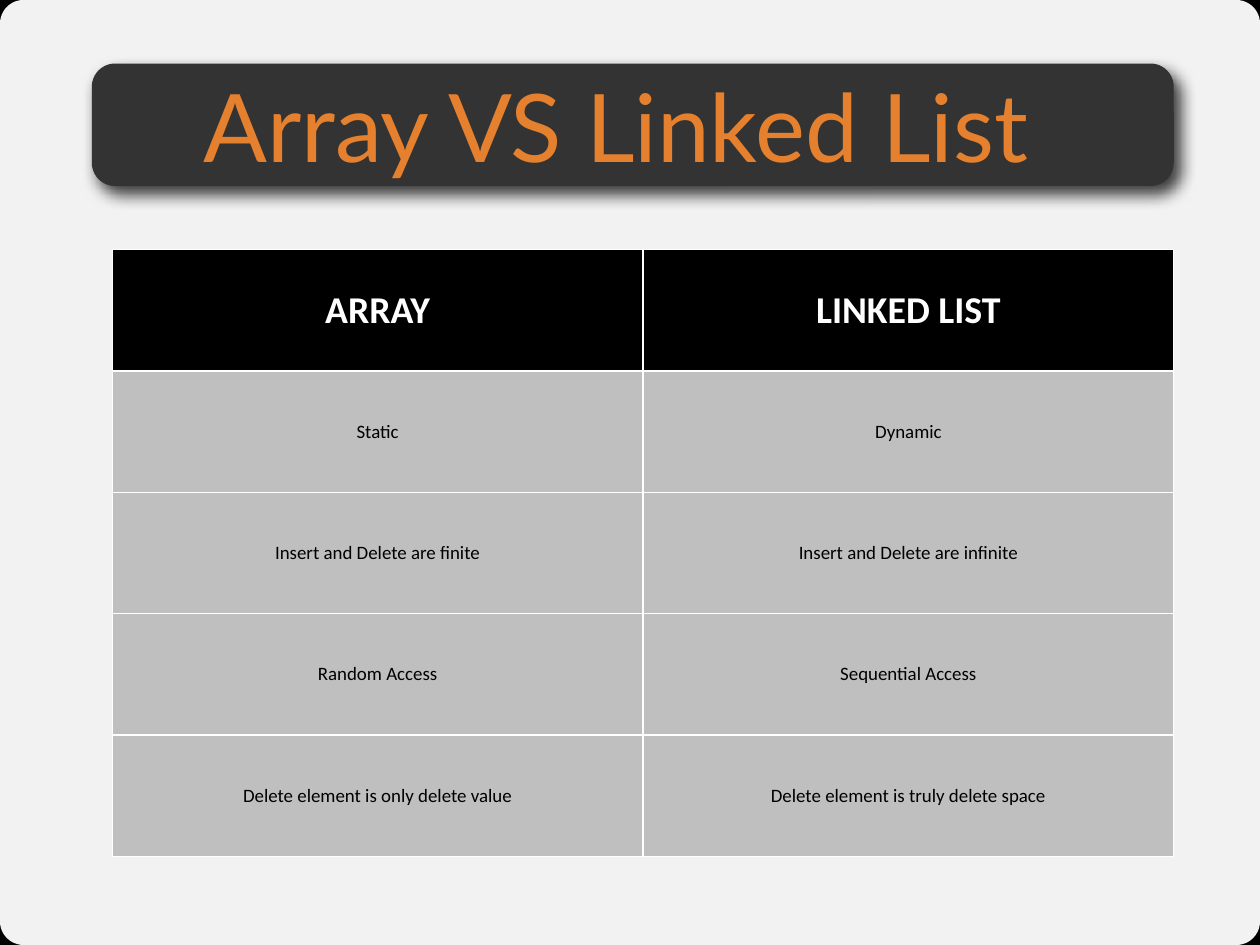
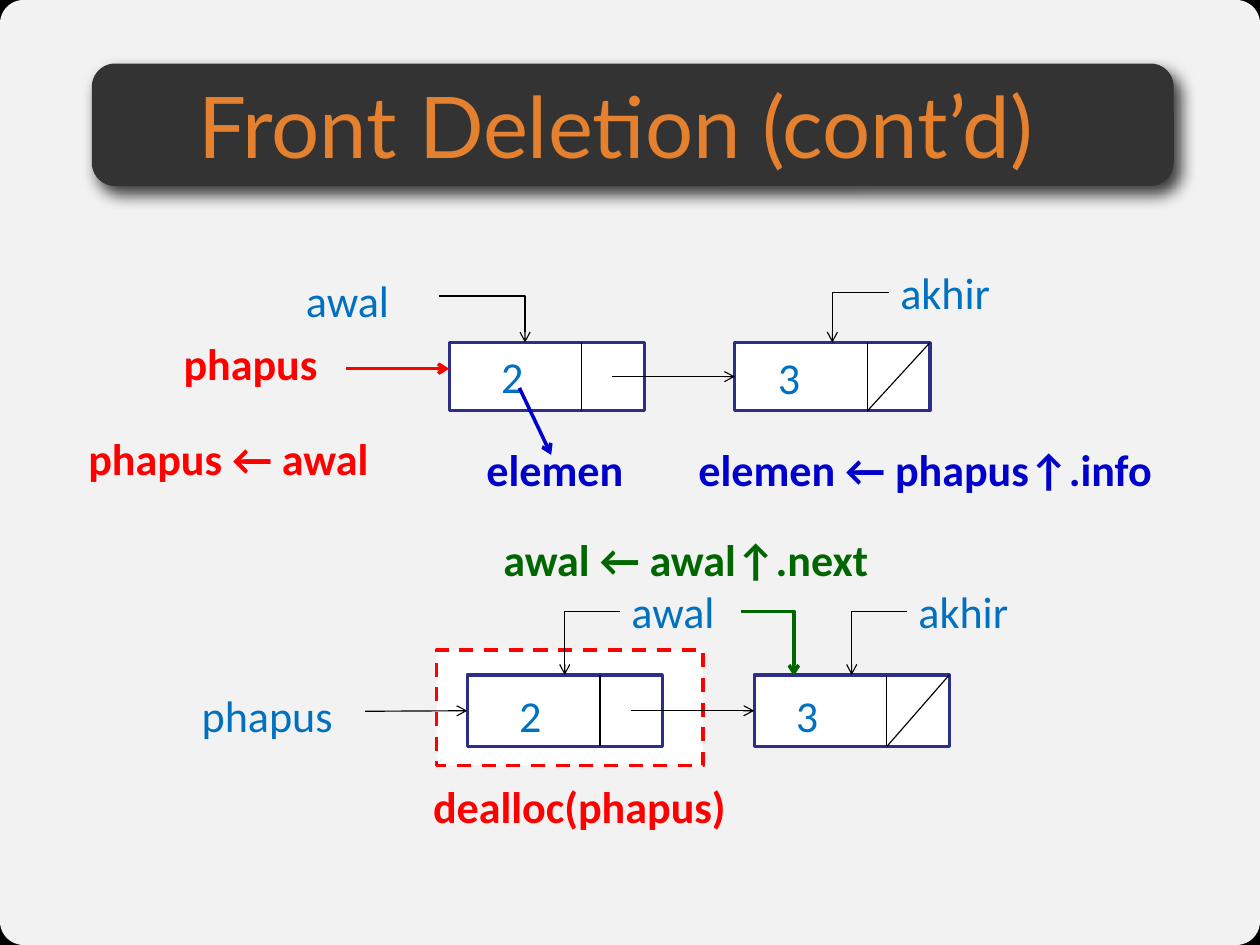
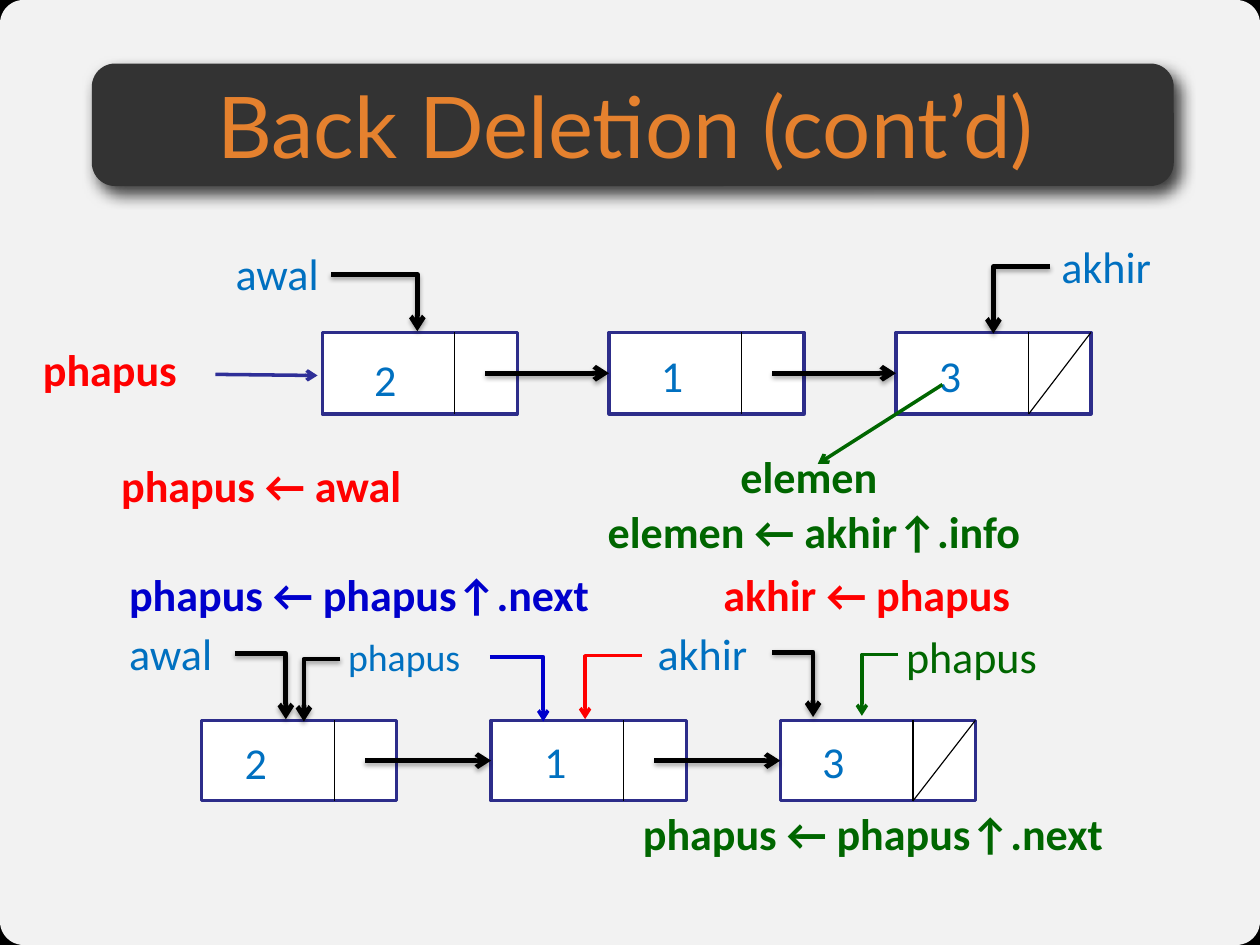
from dataclasses import dataclass
from typing import Any

from lxml import etree
from pptx import Presentation
from pptx import util as u
from pptx.dml.color import RGBColor
from pptx.enum import shapes, text
from pptx.oxml.ns import qn

HUE = {
    "back": "000000", "white": "FFFFFF", "band": "333333", "title": "E5812E",
    "ink": "000000", "cell": "BFBFBF", "box": "2D2D8A", "stem": "2F2F98",
    "sky": "0070C0", "red": "FF0000", "blue": "0000CC", "green": "006600",
}
BODY, HEAD = "Calibri", "Lato"
WIDE, HIGH = 11.11, 8.33
BOX, CUT, TALL = 1.72, 1.17, 0.57


def rgb(name):
    return RGBColor.from_string(HUE[name])


def inch(*nums):
    return [u.Inches(n) for n in nums]


def add(node, tag, **attrs):
    kid = etree.SubElement(node, qn(tag))
    for key, val in attrs.items():
        kid.set(key, str(val))
    return kid


def write(frame, words, size=28, hue="sky", bold=False, font=BODY, align=None):
    para = frame.paragraphs[0]
    para.alignment = align
    run = para.add_run()
    run.text = words
    run.font.size = u.Pt(size)
    run.font.bold = bold
    run.font.name = font
    run.font.color.rgb = rgb(hue)


def shade(list_, blur, dist, angle, alpha):
    cast = add(list_, "a:outerShdw", blurRad=u.Pt(blur), dist=u.Pt(dist),
               dir=angle * 60000, algn="tl", rotWithShape=0)
    tint = add(cast, "a:srgbClr", val=HUE["ink"])
    add(tint, "a:alpha", val=alpha * 1000)


def panel(slide, kind, at, fill, line=None, width=2):
    part = slide.shapes.add_shape(kind, *inch(*at))
    part.shadow.inherit = False
    part.fill.solid()
    part.fill.fore_color.rgb = rgb(fill)
    if line:
        part.line.color.rgb = rgb(line)
        part.line.width = u.Pt(width)
    else:
        part.line.fill.background()
    return part


def dress(slide, layout):
    layout.background.fill.solid()
    layout.background.fill.fore_color.rgb = rgb("back")
    kind = shapes.MSO_SHAPE.ROUNDED_RECTANGLE
    card = panel(slide, kind, (0, 0, WIDE, HIGH), "white")
    card.adjustments[0] = 0.025
    tint = card._element.spPr.find(qn("a:solidFill"))[0]
    add(tint, "a:alpha", val=95000)
    band = panel(slide, kind, (0.81, 0.56, 9.54, 1.08), "band")
    band.adjustments[0] = 0.19
    shade(band._element.spPr.find(qn("a:effectLst")), 10, 6, 51, 75)
    for spot, part in enumerate((card, band)):
        part._element.nvSpPr.cNvPr.set("id", str(20 + spot))
        layout.shapes._spTree.insert(2 + spot, part._element)


def head(slide, words, size=54, width=9.5):
    title = slide.shapes.title
    title.left, title.top, title.width, title.height = inch(0.68, 0.6, width, 1)
    frame = title.text_frame
    frame.margin_left = frame.margin_right = 0
    frame.margin_top = frame.margin_bottom = 0
    frame.auto_size = text.MSO_AUTO_SIZE.NONE
    frame.vertical_anchor = text.MSO_ANCHOR.MIDDLE
    write(frame, words, size, "title", font=HEAD, align=text.PP_ALIGN.CENTER)


def edge(cell):
    props = cell._tc.get_or_add_tcPr()
    for spot, side in enumerate(("a:lnL", "a:lnR", "a:lnT", "a:lnB")):
        line = etree.Element(qn(side), w=str(u.Pt(1)))
        add(add(line, "a:solidFill"), "a:srgbClr", val=HUE["white"])
        props.insert(spot, line)


def grid(slide, rows, x, y, w, h):
    table = slide.shapes.add_table(len(rows), len(rows[0]), *inch(x, y, w, h)).table
    table.horz_banding = False
    for r, row in enumerate(rows):
        for c, words in enumerate(row):
            cell = table.cell(r, c)
            cell.fill.solid()
            cell.fill.fore_color.rgb = rgb("cell" if r else "back")
            cell.vertical_anchor = text.MSO_ANCHOR.MIDDLE
            write(cell.text_frame, words, size=12 if r else 24,
                  hue="ink" if r else "white", bold=not r,
                  align=text.PP_ALIGN.CENTER)
            edge(cell)


@dataclass
class Pane:
    slide: Any
    x: float
    y: float

    def label(self, words, x, y, w, tall=TALL, **form):
        box = self.slide.shapes.add_textbox(*inch(self.x + x, self.y + y, w, tall))
        box.text_frame.word_wrap = True
        box.text_frame.auto_size = text.MSO_AUTO_SIZE.SHAPE_TO_FIT_TEXT
        write(box.text_frame, words, **form)

    def link(self, x1, y1, x2, y2, hue="ink", width=0.75, tip=True, bend=False, to=None):
        kind = shapes.MSO_CONNECTOR.ELBOW if bend else shapes.MSO_CONNECTOR.STRAIGHT
        line = self.slide.shapes.add_connector(
            kind, *inch(self.x + x1, self.y + y1, self.x + x2, self.y + y2))
        line.line.color.rgb = rgb(hue)
        line.line.width = u.Pt(width)
        props = line._element.spPr
        if bend:
            props.find(qn("a:prstGeom")).set("prst", "bentConnector2")
        if tip:
            add(props.find(qn("a:ln")), "a:tailEnd", type="arrow")
        glow = add(props, "a:effectLst")
        if width == 3:
            shade(glow, 3.1, 1.8, 90, 35)
        if to is not None:
            line.end_connect(to, 1)

    def bend(self, *ends, **form):
        self.link(*ends, bend=True, **form)

    def chain(self, x, y, h, pitch, items, width=0.75):
        boxes = []
        for n, (word, dx, dy) in enumerate(items):
            left = x + n * pitch
            at = (self.x + left, self.y + y, BOX, h)
            boxes.append(panel(self.slide, shapes.MSO_SHAPE.RECTANGLE, at, "white", "box"))
            self.link(left + CUT, y, left + CUT, y + h, tip=False)
            self.label(word, left + dx, y + dy, 0.63)
        self.link(left + BOX, y, left + CUT, y + h, tip=False)
        for n, box in enumerate(boxes[1:]):
            left, mid = x + n * pitch, y + h / 2
            self.link(left + 1.44, mid, left + pitch, mid, width=width, to=box)
        return boxes


def front_old(slide, x, y):
    pane = Pane(slide, x, y)
    pane.chain(3.96, 1.02, 0.6, 2.52, [("2", 0.36, 0.01), ("3", 0.28, 0.02)])
    pane.label("awal", 2.6, 0.36, 1.26)
    pane.label("akhir", 7.84, 0.29, 1.26)
    pane.label("phapus", 1.52, 0.92, 1.62, hue="red", bold=True)
    pane.label("phapus ← awal", 0.68, 1.75, 3.12, hue="red", bold=True)
    pane.label("elemen", 4.19, 1.85, 1.62, hue="blue", bold=True)
    pane.label("elemen ← phapus↑.info", 6.06, 1.85, 4.85, hue="blue", bold=True)
    pane.bend(3.87, 0.61, 4.63, 1.02)
    pane.bend(7.84, 0.58, 7.34, 1.02)
    pane.link(3.05, 1.25, 3.96, 1.25, hue="red", width=2.25)
    pane.link(4.58, 1.42, 4.86, 2.01, hue="blue", width=2.25)


def front_new(slide, x, y):
    pane = Pane(slide, x, y)
    dash = panel(slide, shapes.MSO_SHAPE.RECTANGLE, (x + 3.85, y + 1.73, 2.35, 1.02),
                 "white", "red", 2.25)
    add(dash._element.spPr.find(qn("a:ln")), "a:prstDash", val="dash")
    boxes = pane.chain(4.12, 1.95, 0.63, 2.53, [("2", 0.36, 0.07), ("3", 0.27, 0.07)])
    pane.label("awal", 5.47, 1.1, 1.06)
    pane.label("akhir", 8, 1.1, 1.26)
    pane.label("phapus", 1.68, 2.02, 1.62)
    pane.label("awal ← awal↑.next", 4.34, 0.64, 4.02, hue="green", bold=True)
    pane.label("dealloc(phapus)", 3.72, 2.82, 3.28, hue="red", bold=True)
    pane.link(3.22, 2.27, 4.12, 2.27, to=boxes[0])
    for left in (5.47, 8):
        pane.bend(left, 1.39, left - 0.49, 1.95)
    pane.bend(6.53, 1.39, 7, 1.96, hue="green", width=2.25)


def back_old(slide, x, y):
    pane = Pane(slide, x, y)
    pane.chain(2.84, 0.93, 0.72, 2.53,
               [("2", 0.36, 0.13), ("1", 0.36, 0.09), ("3", 0.28, 0.09)], width=3)
    pane.label("awal", 1.98, 0.12, 1.26)
    pane.label("akhir", 9.26, 0.06, 1.26)
    pane.label("phapus", 0.28, 0.97, 1.62, hue="red", bold=True)
    pane.label("phapus ← awal", 0.97, 1.99, 3.36, hue="red", bold=True)
    pane.label("elemen", 6.43, 1.91, 1.62, hue="green", bold=True)
    pane.label("elemen ← akhir↑.info", 5.26, 2.4, 5.26, hue="green", bold=True)
    pane.bend(2.92, 0.42, 3.68, 0.92, width=3)
    pane.bend(9.26, 0.35, 8.76, 0.94, width=3)
    pane.link(1.9, 1.3, 2.8, 1.31, hue="stem", width=2.25)
    pane.link(8.31, 1.39, 7.21, 2.09, hue="green", width=2.25)


def back_new(slide, x, y):
    pane = Pane(slide, x, y)
    pane.chain(1.78, 2.35, 0.71, 2.55,
               [("2", 0.28, 0.08), ("1", 0.37, 0.07), ("3", 0.27, 0.07)], width=3)
    pane.label("awal", 1.04, 1.47, 1.03)
    pane.label("phapus", 2.97, 1.54, 1.35, tall=0.5, size=24)
    pane.label("akhir", 5.7, 1.47, 1.26)
    pane.label("phapus", 7.89, 1.5, 1.51, hue="green")
    pane.label("phapus ← phapus↑.next", 1.04, 0.95, 4.84, hue="blue", bold=True)
    pane.label("akhir ← phapus", 6.28, 0.95, 3.13, hue="red", bold=True)
    pane.label("phapus ← phapus↑.next", 5.57, 3.06, 4.95, hue="green", bold=True)
    pane.bend(2.07, 1.76, 2.52, 2.34, width=3)
    pane.bend(3, 1.81, 2.68, 2.36, width=3)
    pane.bend(6.81, 1.75, 7.17, 2.32, width=3)
    pane.bend(4.32, 1.79, 4.79, 2.36, hue="blue", width=2.25)
    pane.bend(5.66, 1.78, 5.16, 2.34, hue="red", width=2.25)
    pane.bend(7.92, 1.77, 7.6, 2.31, hue="green", width=2.25)


def main():
    deck = Presentation()
    deck.slide_width, deck.slide_height = inch(WIDE, HIGH)
    layout = deck.slide_layouts[5]
    versus, front, back = [deck.slides.add_slide(layout) for _ in range(3)]
    dress(versus, layout)

    head(versus, "Array VS Linked List", size=60)
    grid(versus, [
        ("ARRAY", "LINKED LIST"),
        ("Static", "Dynamic"),
        ("Insert and Delete are finite", "Insert and Delete are infinite"),
        ("Random Access", "Sequential Access"),
        ("Delete element is only delete value", "Delete element is truly delete space"),
    ], 0.99, 2.2, 9.36, 5.35)

    head(front, "Front Deletion (cont’d)")
    front_old(front, 0, 2)
    front_new(front, 0, 4)

    head(back, "Back Deletion (cont’d)", width=9.67)
    back_old(back, 0, 2)
    back_new(back, 0, 4)
    deck.save("out.pptx")


if __name__ == "__main__":
    main()
